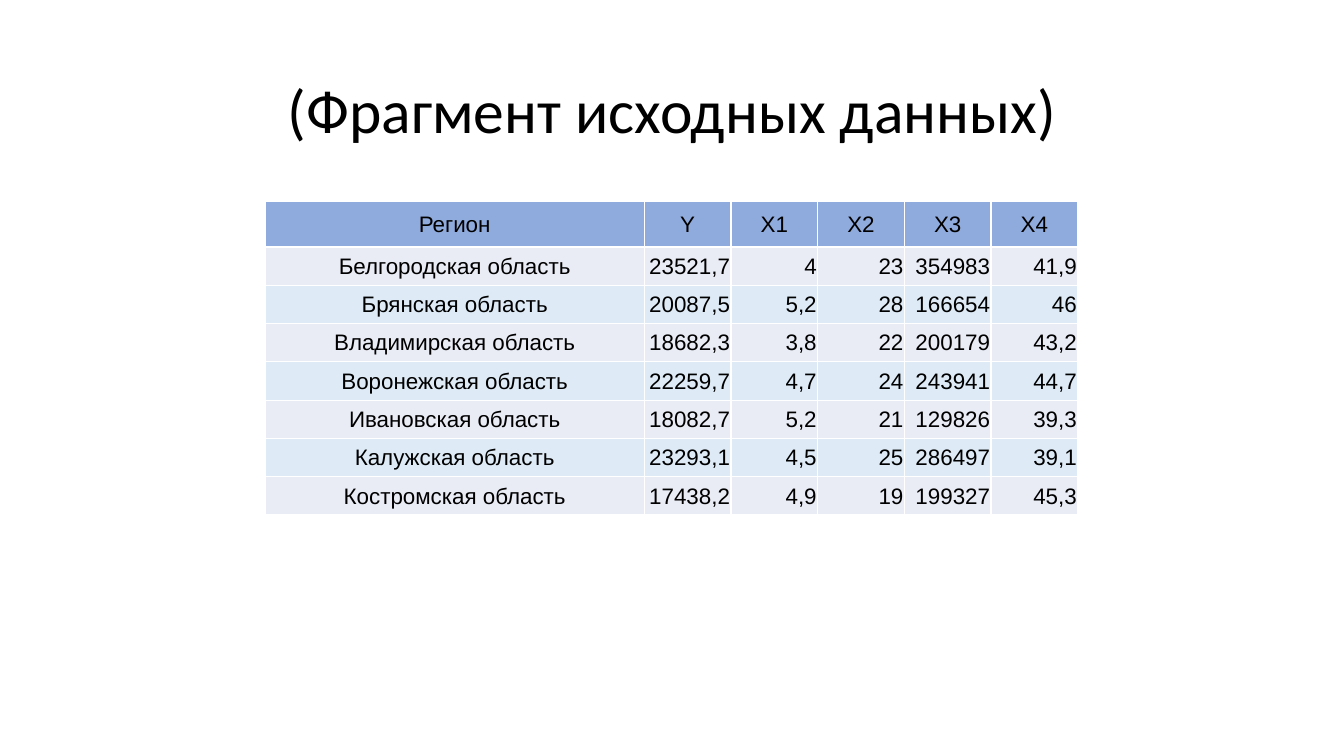
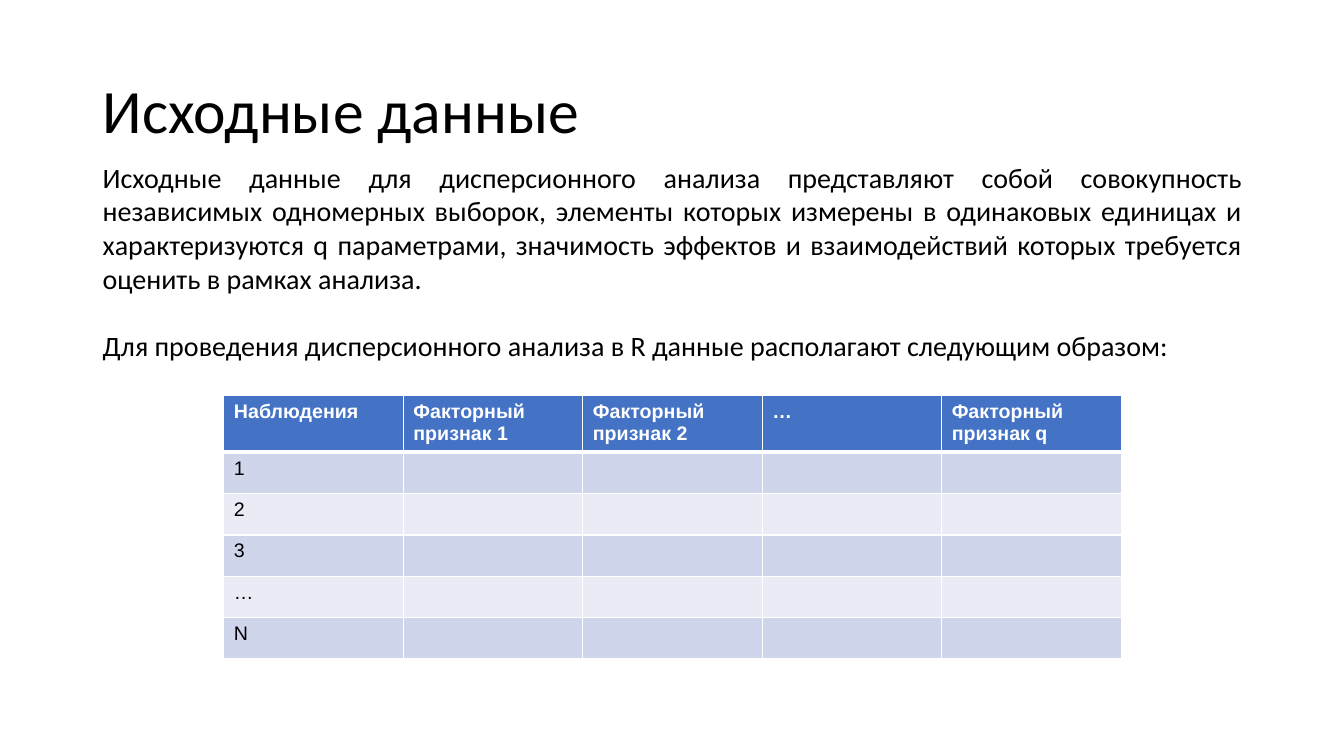
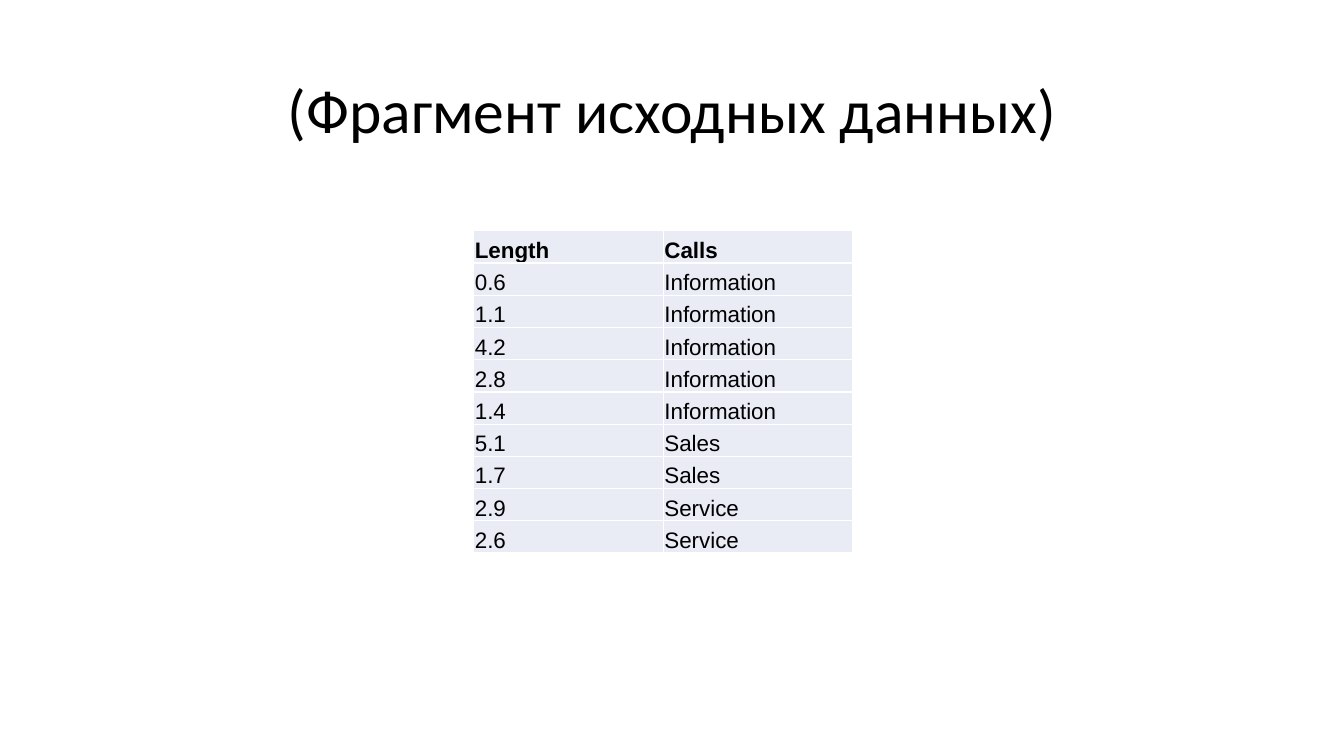
from lxml import etree
from pptx import Presentation
from pptx import util as u
from pptx.dml import color as dml
from pptx.enum import text as t
from pptx.oxml import ns

Inches, Pt = u.Inches, u.Pt
LEFT, CENTER, RIGHT, JUSTIFY = (
    t.PP_ALIGN.LEFT, t.PP_ALIGN.CENTER, t.PP_ALIGN.RIGHT, t.PP_ALIGN.JUSTIFY)
TOP, MIDDLE, BOTTOM = t.MSO_ANCHOR.TOP, t.MSO_ANCHOR.MIDDLE, t.MSO_ANCHOR.BOTTOM

COLORS = {
    "ink": "000000", "white": "FFFFFF", "region_head": "8FAADC", "pale": "E9EBF5",
    "sky": "DEEBF7", "factor_head": "4472C4", "lilac": "CFD5EA",
}
TITLE_BOX = (0.92, 0.4, 11.5, 1.45)
WIDE_INSETS = (0.1, 0.05, 0.1, 0.05)
TIGHT_INSETS = (0.01, 0.01, 0.01, 0)
FRAGMENT_TITLE = "(Фрагмент исходных данных)"

REGIONS = [
    ("Регион", "Y", "X1", "X2", "X3", "X4"),
    ("Белгородская область", "23521,7", "4", "23", "354983", "41,9"),
    ("Брянская область", "20087,5", "5,2", "28", "166654", "46"),
    ("Владимирская область", "18682,3", "3,8", "22", "200179", "43,2"),
    ("Воронежская область", "22259,7", "4,7", "24", "243941", "44,7"),
    ("Ивановская область", "18082,7", "5,2", "21", "129826", "39,3"),
    ("Калужская область", "23293,1", "4,5", "25", "286497", "39,1"),
    ("Костромская область", "17438,2", "4,9", "19", "199327", "45,3"),
]
INTRO = [
    "Исходные данные для дисперсионного анализа представляют собой совокупность "
    "независимых одномерных выборок, элементы которых измерены в одинаковых единицах "
    "и характеризуются q параметрами, значимость эффектов и взаимодействий которых "
    "требуется оценить в рамках анализа.",
    "Для проведения дисперсионного анализа в R данные располагают следующим образом:",
]
FACTORS = [
    ("Наблюдения", "Факторный признак 1", "Факторный признак 2", "…", "Факторный признак q"),
    *[(label, "", "", "", "") for label in ("1", "2", "3", "…", "N")],
]
CALLS = [
    ("Length", "Calls"),
    ("0.6", "Information"), ("1.1", "Information"), ("4.2", "Information"),
    ("2.8", "Information"), ("1.4", "Information"), ("5.1", "Sales"),
    ("1.7", "Sales"), ("2.9", "Service"), ("2.6", "Service"),
]


def rgb(name):
    return dml.RGBColor.from_string(COLORS[name])


def write_text(frame, *lines, size, font="Calibri", color="ink", bold=False,
               align=LEFT, spacing=1.0, gap=0):
    """Fill a text frame, one paragraph per line, with gap points between them."""
    for i, line in enumerate(lines):
        paragraph = frame.add_paragraph() if i else frame.paragraphs[0]
        paragraph.alignment = align
        paragraph.line_spacing = spacing
        paragraph.space_before = Pt(gap if i else 0)
        run = paragraph.add_run()
        run.text = line
        run.font.size, run.font.name, run.font.bold = Pt(size), font, bold
        run.font.color.rgb = rgb(color)


def set_insets(holder, insets):
    (holder.margin_left, holder.margin_top,
     holder.margin_right, holder.margin_bottom) = map(Inches, insets)


def add_text(slide, box, *lines, anchor=TOP, **text_format):
    frame = slide.shapes.add_textbox(*map(Inches, box)).text_frame
    frame.word_wrap = True
    frame.vertical_anchor = anchor
    set_insets(frame, WIDE_INSETS)
    write_text(frame, *lines, **text_format)


def add_title(slide, title, align=CENTER):
    add_text(slide, TITLE_BOX, title, anchor=MIDDLE, size=44, align=align, spacing=0.9)


def set_borders(cell, **widths):
    """Draw white cell borders; must run before the fill is set."""
    properties = cell._tc.get_or_add_tcPr()
    for side in "LRTB":
        width = Pt(widths.get(side, 1))
        line = etree.SubElement(properties, ns.qn(f"a:ln{side}"), w=str(width))
        fill = etree.SubElement(line, ns.qn("a:solidFill"))
        etree.SubElement(fill, ns.qn("a:srgbClr"), val=COLORS["white"])


def add_grid(slide, left, top, widths, heights, rows, fills, size, insets,
             anchor=TOP, head_color="ink", head_bold=True, head_rule=1,
             align_of=lambda row, column: LEFT):
    """Place a table; fills holds the header fill, then the body bands in turn."""
    table = slide.shapes.add_table(
        len(rows), len(widths), Inches(left), Inches(top),
        Inches(sum(widths)), Inches(sum(heights))).table
    table.first_row = table.horz_banding = False
    for column, width in zip(table.columns, widths):
        column.width = Inches(width)
    head_fill, *bands = fills
    for r, (values, height) in enumerate(zip(rows, heights)):
        table.rows[r].height = Inches(height)
        for c, value in enumerate(values):
            cell = table.cell(r, c)
            set_borders(cell, T=head_rule if r == 1 else 1, B=head_rule if r == 0 else 1)
            cell.fill.solid()
            cell.fill.fore_color.rgb = rgb(bands[(r - 1) % len(bands)] if r else head_fill)
            cell.vertical_anchor = anchor
            set_insets(cell, insets)
            if value:
                write_text(cell.text_frame, value, size=size, font="Arial",
                           color="ink" if r else head_color,
                           bold=head_bold and r == 0, align=align_of(r, c))


def regions_slide(slide):
    add_title(slide, FRAGMENT_TITLE)
    add_grid(slide, 2.63, 2, [3.76] + [0.86] * 5, [0.45] + [0.38] * 7, REGIONS,
             ("region_head", "pale", "sky"), 16, TIGHT_INSETS, anchor=MIDDLE,
             head_bold=False, align_of=lambda r, c: RIGHT if r and c else CENTER)


def factors_slide(slide):
    add_title(slide, "Исходные данные", align=LEFT)
    add_text(slide, (0.92, 1.54, 11.5, 4.76), *INTRO, size=20, align=JUSTIFY, gap=24)
    # Header row is taller: its labels take two lines
    add_grid(slide, 2.22, 3.92, [1.78] * 5, [0.53] + [0.41] * 5, FACTORS,
             ("factor_head", "lilac", "pale"), 14, WIDE_INSETS,
             head_color="white", head_rule=3)


def calls_slide(slide):
    add_title(slide, FRAGMENT_TITLE)
    add_grid(slide, 4.7, 2.29, [1.88] * 2, [0.32] * 10, CALLS,
             ("pale", "pale"), 16, TIGHT_INSETS, anchor=BOTTOM)


deck = Presentation()
deck.slide_width, deck.slide_height = Inches(13.33), Inches(7.5)
for build in (regions_slide, factors_slide, calls_slide):
    build(deck.slides.add_slide(deck.slide_layouts[6]))
deck.save("out.pptx")
